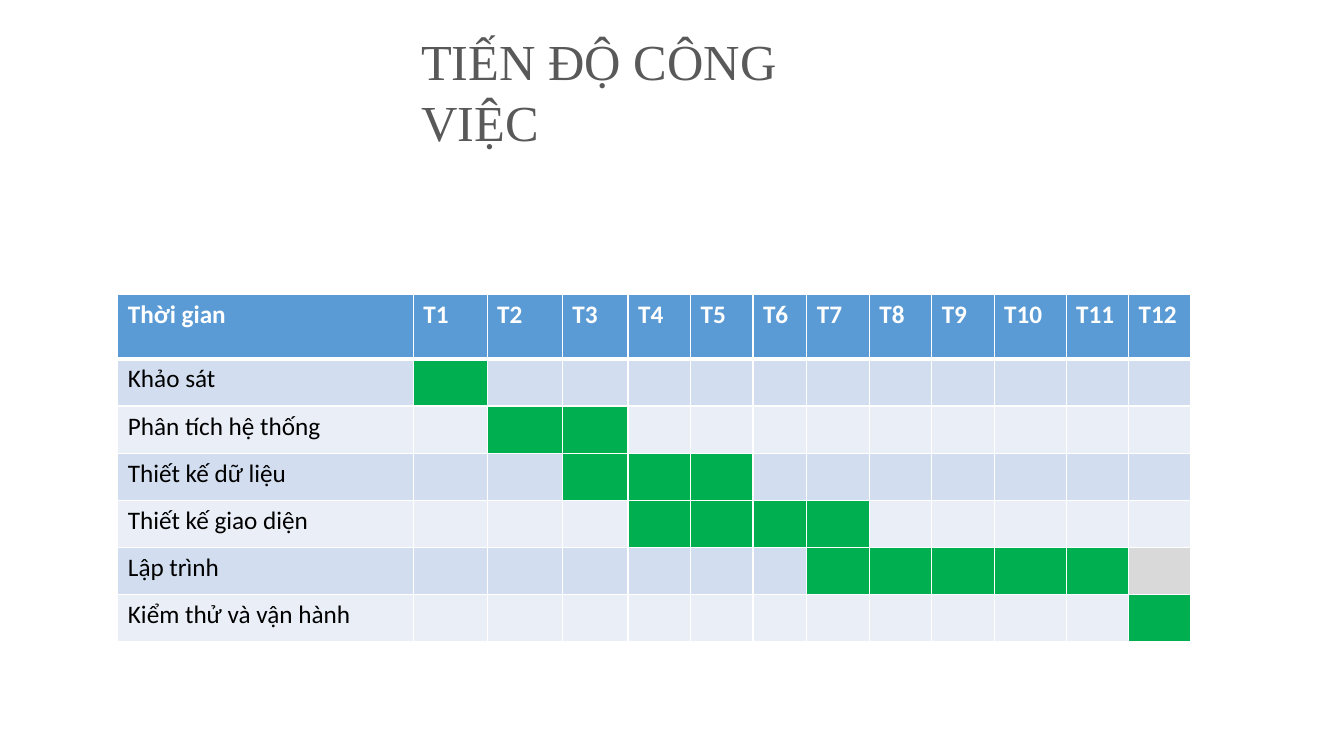
from lxml.etree import SubElement
from pptx import Presentation
from pptx.dml.color import RGBColor
from pptx.enum.text import MSO_AUTO_SIZE as AutoSize
from pptx.oxml.ns import qn
from pptx.util import Pt

WHITE, BLACK, TITLE_GREY = "FFFFFF", "000000", "595959"
HEADER_BLUE, ACTIVE_GREEN, RESERVE_GREY = "5B9BD5", "00B050", "D9D9D9"
BANDS = ("D2DEEF", "EAEFF7")

MONTHS = 12
# Task name, first month, last month
TASKS = [
    ("Khảo sát", 1, 1),
    ("Phân tích hệ thống", 2, 3),
    ("Thiết kế dữ liệu", 3, 5),
    ("Thiết kế giao diện", 4, 7),
    ("Lập trình", 7, 11),
    ("Kiểm thử và vận hành", 12, 12),
]
RESERVE = ("Lập trình", 12)

NAME_WIDTH = 211
MONTH_WIDTH = 44.6
SPECIAL_WIDTHS = {1: 52.8, 2: 53.7, 3: 47, 6: 38.5, 10: 51.5}
HEADER_HEIGHT = 46.1


def color(hex_code):
    return RGBColor.from_string(hex_code)


def write(frame, text, font="Calibri", size=18, ink=BLACK, bold=False):
    span = frame.paragraphs[0].add_run()
    span.text = text
    span.font.name = font
    span.font.size = Pt(size)
    span.font.color.rgb = color(ink)
    span.font.bold = bold


def paint_cell(cell, fill, top=1, bottom=1):
    """Give a cell white borders, then its fill."""
    properties = cell._tc.get_or_add_tcPr()
    for side, width in (("L", 1), ("R", 1), ("T", top), ("B", bottom)):
        line = SubElement(properties, qn(f"a:ln{side}"), w=str(Pt(width)))
        solid = SubElement(line, qn("a:solidFill"))
        SubElement(solid, qn("a:srgbClr"), val=WHITE)
    cell.fill.solid()
    cell.fill.fore_color.rgb = color(fill)


def add_title(page, left, top, width, height):
    box = page.shapes.add_textbox(Pt(left), Pt(top), Pt(width), Pt(height))
    frame = box.text_frame
    frame.word_wrap = True
    frame.auto_size = AutoSize.SHAPE_TO_FIT_TEXT
    write(frame, "TIẾN ĐỘ CÔNG VIỆC", font="Times New Roman", size=36, ink=TITLE_GREY)


def add_schedule(page, left, top, width, height):
    table = page.shapes.add_table(
        len(TASKS) + 1, MONTHS + 1, Pt(left), Pt(top), Pt(width), Pt(height)
    ).table
    table.horz_banding = False

    # Column widths and row heights
    table.columns[0].width = Pt(NAME_WIDTH)
    for month in range(1, MONTHS + 1):
        table.columns[month].width = Pt(SPECIAL_WIDTHS.get(month, MONTH_WIDTH))
    table.rows[0].height = Pt(HEADER_HEIGHT)
    for row in range(1, len(TASKS) + 1):
        table.rows[row].height = Pt((height - HEADER_HEIGHT) / len(TASKS))

    # Header row
    labels = ["Thời gian"] + [f"T{month}" for month in range(1, MONTHS + 1)]
    for column, label in enumerate(labels):
        cell = table.cell(0, column)
        paint_cell(cell, HEADER_BLUE, bottom=3)
        write(cell.text_frame, label, ink=WHITE, bold=True)

    # Task rows with the active months filled
    for row, (task, first, last) in enumerate(TASKS, start=1):
        for column in range(MONTHS + 1):
            fill = BANDS[(row - 1) % 2]
            if first <= column <= last:
                fill = ACTIVE_GREEN
            elif (task, column) == RESERVE:
                fill = RESERVE_GREY
            paint_cell(table.cell(row, column), fill, top=3 if row == 1 else 1)
        write(table.cell(row, 0).text_frame, task)


def main():
    deck = Presentation()
    deck.slide_width, deck.slide_height = Pt(960), Pt(540)
    page = deck.slides.add_slide(deck.slide_layouts[6])
    add_title(page, 293.8, 18, 355, 51.1)
    add_schedule(page, 84.2, 210.2, 768, 248.4)
    deck.save("out.pptx")


if __name__ == "__main__":
    main()
